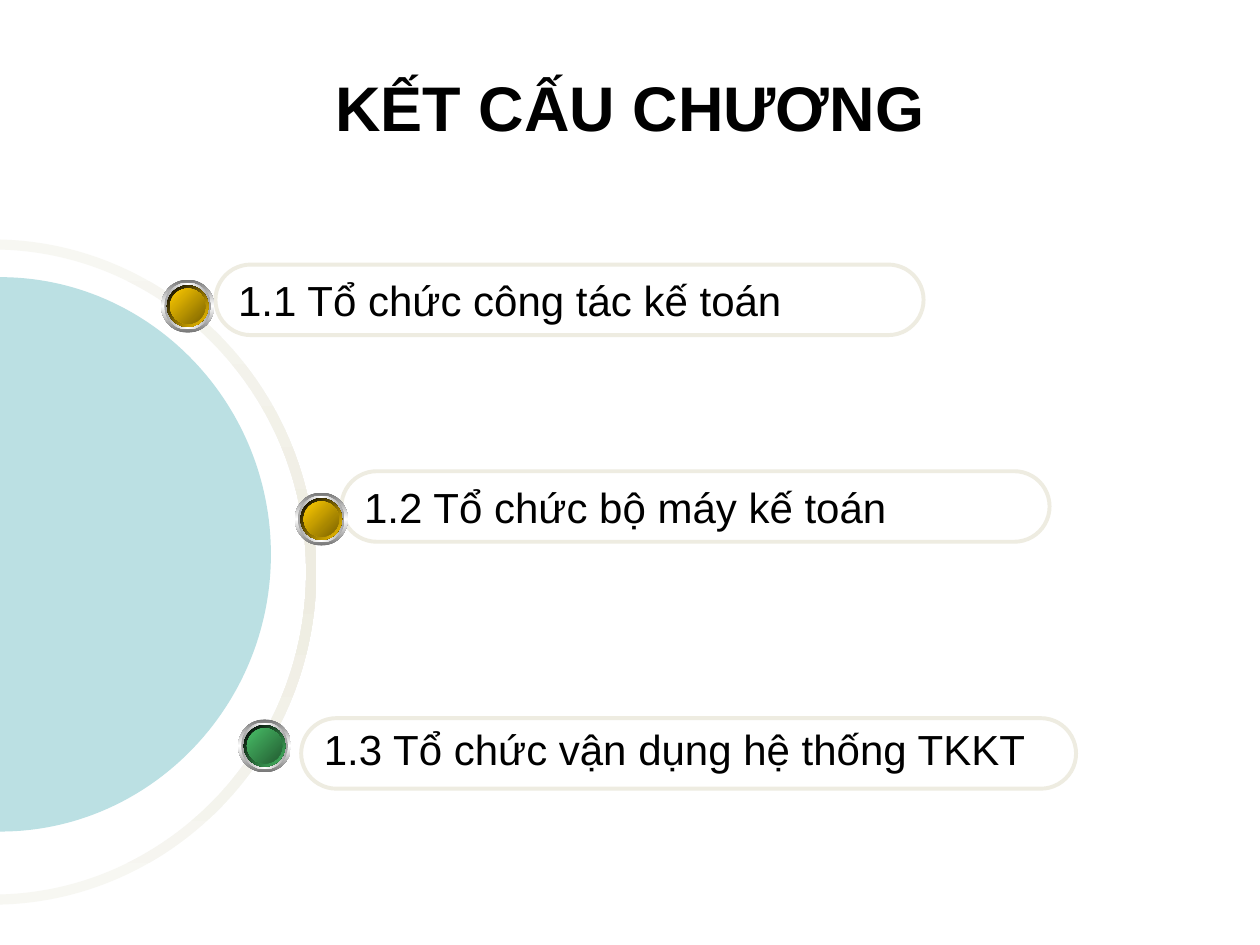
from lxml import etree
from pptx import Presentation
from pptx.dml.color import RGBColor
from pptx.enum.shapes import MSO_SHAPE as Shape
from pptx.enum.text import MSO_ANCHOR as Anchor, PP_ALIGN as Align
from pptx.oxml.ns import qn
from pptx.util import Inches, Pt

FONT = "Arial"
BLACK = RGBColor(0x00, 0x00, 0x00)
WHITE = RGBColor(0xFF, 0xFF, 0xFF)
DARK_GRAY = RGBColor(0x76, 0x76, 0x76)
GRAY = RGBColor(0xA2, 0xA2, 0xA2)
CREAM = RGBColor(0xEE, 0xEC, 0xE1)
PALE_CREAM = RGBColor(0xF7, 0xF7, 0xF2)
AQUA = RGBColor(0xBB, 0xE0, 0xE3)
GOLD = RGBColor(0xFF, 0xCC, 0x00)
DARK_GOLD = RGBColor(0x7C, 0x63, 0x00)
GREEN = RGBColor(0x48, 0xBE, 0x67)
DARK_GREEN = RGBColor(0x23, 0x5C, 0x32)

BUTTON_SIZE = 0.42
ARC_HANDLE = 0.55
HALF_ELLIPSE_POINTS = 7


def set_gradient(sp, colors, angle):
    sp.fill.gradient()
    sp.fill.gradient_angle = -angle % 360
    stops = sp._element.spPr.find(qn("a:gradFill")).find(qn("a:gsLst"))
    for stop in list(stops):
        stops.remove(stop)
    for i, color in enumerate(colors):
        pos = str(100000 * i // (len(colors) - 1))
        stop = etree.SubElement(stops, qn("a:gs"), pos=pos)
        etree.SubElement(stop, qn("a:srgbClr"), val=str(color))


def half_ellipse(cx, cy, rx, ry):
    k = ARC_HANDLE
    units = [(0, -1), (k, -1), (1, -k), (1, 0), (1, k), (k, 1), (0, 1)]
    return [(Inches(cx + rx * x), Inches(cy + ry * y)) for x, y in units]


def round_segments(sp):
    lines = list(sp._element.iter(qn("a:lnTo")))
    for start in range(0, len(lines), HALF_ELLIPSE_POINTS):
        for first in (start, start + 3):
            curve = etree.Element(qn("a:cubicBezTo"))
            lines[first].addprevious(curve)
            for line in lines[first:first + 3]:
                curve.append(line[0])
                line.getparent().remove(line)


def add_outline(slide, points):
    builder = slide.shapes.build_freeform(*points[0])
    builder.add_line_segments(points[1:], close=True)
    sp = builder.convert_to_shape()
    round_segments(sp)
    sp.shadow.inherit = False
    sp.line.fill.background()
    return sp


def add_arcs(slide):
    inner = half_ellipse(-0.06, 4.54, 2.49, 2.56)
    outer = half_ellipse(-0.06, 4.54, 2.57, 2.64)
    ring = add_outline(slide, inner + outer[::-1])
    set_gradient(ring, [PALE_CREAM, CREAM, PALE_CREAM], 90)
    disc = add_outline(slide, half_ellipse(0, 4.4, 2.15, 2.2))
    disc.fill.solid()
    disc.fill.fore_color.rgb = AQUA


def add_title(slide, text):
    box = slide.shapes.add_textbox(Inches(0.5), Inches(0.22), Inches(9), Inches(1.25))
    tf = box.text_frame
    tf.word_wrap = True
    tf.vertical_anchor = Anchor.MIDDLE
    p = tf.paragraphs[0]
    p.text = text
    p.alignment = Align.CENTER
    p.font.name = FONT
    p.font.size = Pt(36)
    p.font.bold = True
    p.font.color.rgb = BLACK


def add_capsule(slide, text, left, top, width, bottom_inset):
    sp = slide.shapes.add_shape(
        Shape.ROUNDED_RECTANGLE, Inches(left), Inches(top), Inches(width), Inches(0.56))
    sp.adjustments[0] = 0.5
    sp.shadow.inherit = False
    sp.fill.background()
    sp.line.color.rgb = CREAM
    sp.line.width = Pt(2.25)
    tf = sp.text_frame
    tf.word_wrap = True
    tf.vertical_anchor = Anchor.MIDDLE
    tf.margin_bottom = Inches(bottom_inset)
    p = tf.paragraphs[0]
    p.text = text
    p.alignment = Align.LEFT
    p.font.name = FONT
    p.font.size = Pt(24)
    p.font.color.rgb = BLACK


def add_button(slide, left, top, color, shade):
    layers = [
        (BUTTON_SIZE, [DARK_GRAY, WHITE, DARK_GRAY], 90),
        (0.37, [GRAY, WHITE, GRAY], 0),
        (0.33, [BLACK, color], 45),
        (0.28, [color, shade], 45),
    ]
    group = slide.shapes.add_group_shape()
    for size, colors, angle in layers:
        inset = (BUTTON_SIZE - size) / 2
        sp = group.shapes.add_shape(
            Shape.OVAL, Inches(left + inset), Inches(top + inset), Inches(size), Inches(size))
        sp.shadow.inherit = False
        sp.line.fill.background()
        set_gradient(sp, colors, angle)


def main():
    prs = Presentation()
    prs.slide_width, prs.slide_height = Inches(10), Inches(7.5)
    slide = prs.slides.add_slide(prs.slide_layouts[6])

    add_title(slide, "KẾT CẤU CHƯƠNG")
    add_arcs(slide)
    sections = [
        (("1.1 Tổ chức công tác kế toán", 1.71, 2.1, 5.62, 0.05), (1.28, 2.22, GOLD, DARK_GOLD)),
        (("1.2 Tổ chức bộ máy kế toán", 2.71, 3.74, 5.62, 0.05), (2.34, 3.91, GOLD, DARK_GOLD)),
        (("1.3 Tổ chức vận dụng hệ thống TKKT", 2.39, 5.7, 6.15, 0.12),
         (1.89, 5.71, GREEN, DARK_GREEN)),
    ]
    for capsule, button in sections:
        add_capsule(slide, *capsule)
        add_button(slide, *button)

    prs.save("out.pptx")


if __name__ == "__main__":
    main()
